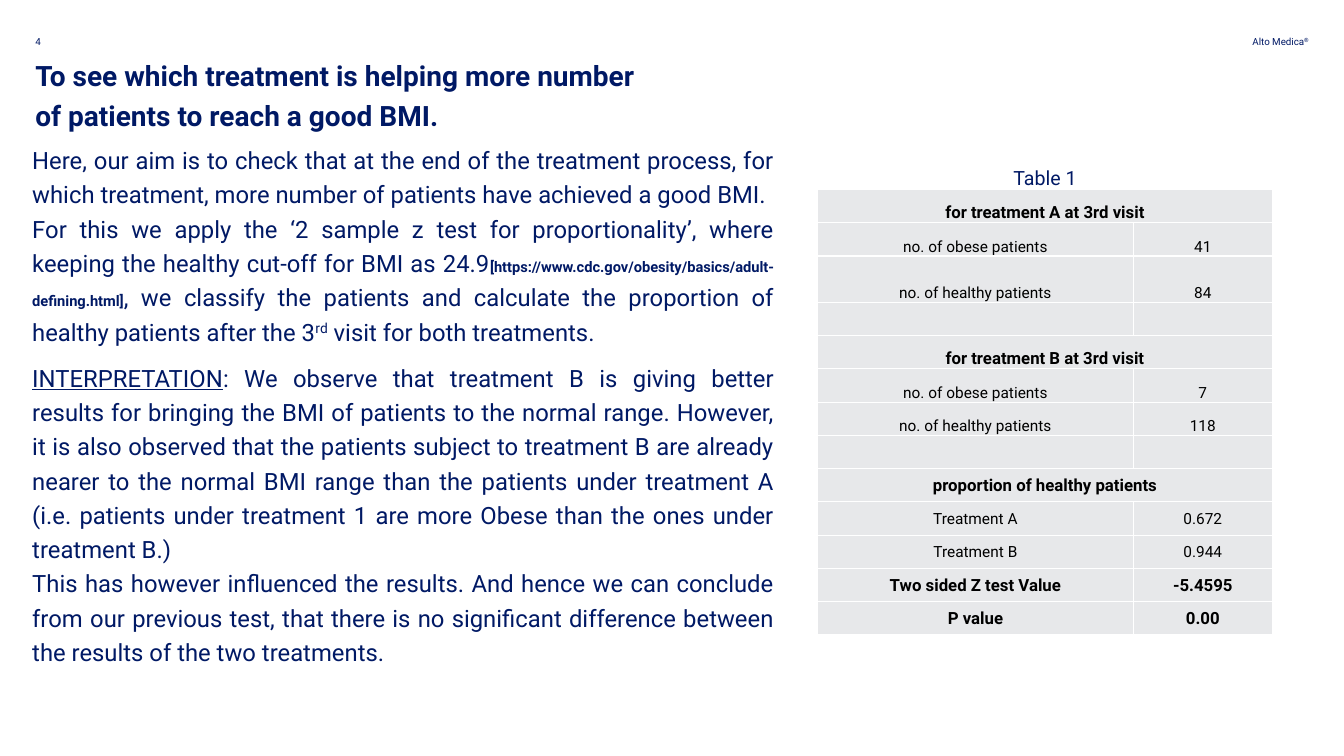
from lxml.etree import SubElement
from pptx import Presentation
from pptx.dml.color import RGBColor
from pptx.enum.text import MSO_ANCHOR as Anchor, PP_ALIGN as Align
from pptx.oxml.ns import qn
from pptx.util import Inches, Pt

FONT = "Roboto"
COLORS = {"navy": "001965", "black": "000000", "cell": "E7E8EA", "border": "FFFFFF"}
COLUMN_WIDTHS = (3.13, 1.38)
ROW_HEIGHT, TALL_ROW_HEIGHT, TALL_ROW = 0.33, 0.46, 2
FIRST_MIDDLE_ROW = 8

TITLE = "To see which treatment is helping more number of patients to reach a good BMI."
BODY = [
    [("Here, our aim is to check that at the end of the treatment process, for which "
      "treatment, more number of patients have achieved a good BMI.", {})],
    [("For this we apply the ‘2 sample z test for proportionality’, where keeping the "
      "healthy cut-off for BMI as 24.9", {}),
     ("[https://www.cdc.gov/obesity/basics/adult-defining.html]", {"size": 10.5, "bold": True}),
     (", we classify the patients and calculate the proportion of healthy patients "
      "after the 3", {}),
     ("rd", {"raised": True}),
     (" visit for both treatments.", {})],
    [("INTERPRETATION", {"underline": True}),
     (": We observe that treatment B is giving better results for bringing the BMI of "
      "patients to the normal range. However, it is also observed that the patients "
      "subject to treatment B are already nearer to the normal BMI range than the "
      "patients under treatment A (i.e. patients under treatment 1 are more Obese than "
      "the ones under treatment B.)", {})],
    [("This has however influenced the results. And hence we can conclude from our "
      "previous test, that there is no significant difference between the results of "
      "the two treatments.", {})],
]
RESULTS = [
    ("for treatment A at 3rd visit",),
    ("no. of obese patients", "41"),
    ("no. of healthy patients", "84"),
    ("", ""),
    ("for treatment B at 3rd visit",),
    ("no. of obese patients", "7"),
    ("no. of healthy patients", "118"),
    ("", ""),
    ("proportion of healthy patients",),
    ("Treatment A", "0.672"),
    ("Treatment B", "0.944"),
    ("Two sided Z test Value", "-5.4595"),
    ("P value", "0.00"),
]
BOLD_LABELS = {"Two sided Z test Value", "P value"}


def add_run(paragraph, text, size, color="navy", bold=False, underline=False, raised=False):
    """Append one formatted run to a paragraph."""
    run = paragraph.add_run()
    run.text = text
    font = run.font
    font.name, font.size, font.bold, font.underline = FONT, Pt(size), bold, underline
    font.color.rgb = RGBColor.from_string(COLORS[color])
    if raised:
        run._r.get_or_add_rPr().set("baseline", "30000")


def add_text(slide, box, paragraphs, size, align=Align.LEFT, line_spacing=1.0):
    """Place a text box without insets and return its paragraphs."""
    frame = slide.shapes.add_textbox(*map(Inches, box)).text_frame
    frame.word_wrap = True
    frame.margin_left = frame.margin_right = frame.margin_top = frame.margin_bottom = 0
    for index, runs in enumerate(paragraphs):
        paragraph = frame.add_paragraph() if index else frame.paragraphs[0]
        paragraph.alignment, paragraph.line_spacing = align, line_spacing
        for text, style in runs:
            add_run(paragraph, text, **{"size": size, **style})
    return frame.paragraphs


def add_header(slide, box):
    """Place the page number and the company name at the ends of the box."""
    left, top, width, height = box
    add_text(slide, (left, top, 0.35, height), [[("4", {})]], 7)
    name_width = 1
    add_text(slide, (left + width - name_width, top, name_width, height),
             [[("Alto Medica", {}), ("®", {"raised": True})]], 7, Align.RIGHT)


def add_body(slide, box):
    """Place the explanation with a gap before the interpretation."""
    paragraphs = add_text(slide, box, BODY, 17, Align.JUSTIFY, 1.2)
    paragraphs[2].space_before = Pt(8.5)


def style_cell(cell, anchor):
    """Give a cell its white borders, grey fill, insets and anchor."""
    properties = cell._tc.get_or_add_tcPr()
    for side in ("lnL", "lnR", "lnT", "lnB"):
        line = SubElement(properties, qn(f"a:{side}"), w=str(Pt(1)))
        fill = SubElement(line, qn("a:solidFill"))
        SubElement(fill, qn("a:srgbClr"), val=COLORS["border"])
    cell.fill.solid()
    cell.fill.fore_color.rgb = RGBColor.from_string(COLORS["cell"])
    cell.margin_left = cell.margin_right = cell.margin_top = Inches(0.01)
    cell.margin_bottom = 0
    cell.vertical_anchor = anchor


def add_results(slide, box):
    """Place the caption and the table of results below it."""
    left, top, width, height = box
    caption_width, caption_height = 2.15, 0.28
    add_text(slide, (left + (width - caption_width) / 2, top, caption_width, caption_height),
             [[("Table 1", {})]], 14, Align.CENTER, 1.2)
    table_box = (left, top + caption_height, width, height - caption_height)
    table = slide.shapes.add_table(len(RESULTS), len(COLUMN_WIDTHS),
                                   *map(Inches, table_box)).table
    table.first_row = table.horz_banding = False
    for column, column_width in zip(table.columns, COLUMN_WIDTHS):
        column.width = Inches(column_width)
    for index, texts in enumerate(RESULTS):
        row = table.rows[index]
        row.height = Inches(TALL_ROW_HEIGHT if index == TALL_ROW else ROW_HEIGHT)
        anchor = Anchor.MIDDLE if index >= FIRST_MIDDLE_ROW else Anchor.BOTTOM
        for cell in row.cells:
            style_cell(cell, anchor)
        is_heading = len(texts) == 1
        if is_heading:
            table.cell(index, 0).merge(table.cell(index, 1))
        bold = is_heading or texts[0] in BOLD_LABELS
        for cell, text in zip(row.cells, texts):
            if text:
                paragraph = cell.text_frame.paragraphs[0]
                paragraph.alignment = Align.CENTER
                add_run(paragraph, text, 12 if bold else 11, "black", bold)


def main():
    """Build and save the slide."""
    presentation = Presentation()
    presentation.slide_width, presentation.slide_height = Inches(13.33), Inches(7.5)
    slide = presentation.slides.add_slide(presentation.slide_layouts[6])
    add_header(slide, (0.35, 0.35, 12.63, 0.14))
    add_text(slide, (0.35, 0.51, 5.98, 0.78), [[(TITLE, {"bold": True})]], 20, line_spacing=1.2)
    add_body(slide, (0.32, 1.39, 7.36, 5.4))
    add_results(slide, (8.11, 1.6, 4.51, 4.7))
    presentation.save("out.pptx")


if __name__ == "__main__":
    main()
